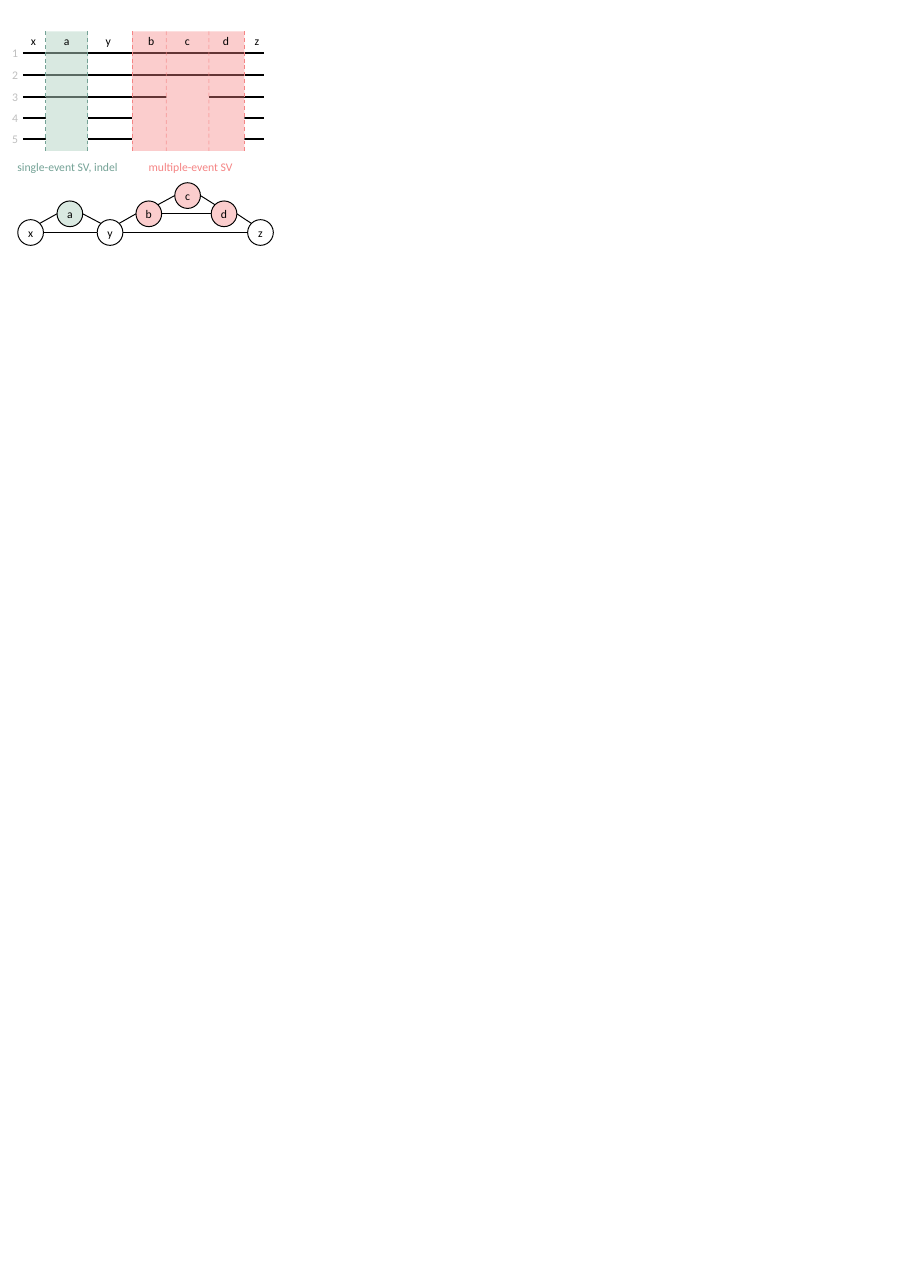
"""Draw sequence alignments with structural variants and their variation graph."""
from dataclasses import dataclass
from math import sqrt

from lxml import etree
from pptx import Presentation
from pptx import util as u
from pptx.dml.color import RGBColor
from pptx.enum import dml, shapes, text
from pptx.oxml.ns import qn


@dataclass(frozen=True)
class Theme:
    font: str = "Calibri"
    size: float = 18
    black: str = "000000"
    white: str = "FFFFFF"
    grey: str = "BFBFBF"
    green: str = "74A296"
    light_green: str = "B5D5C5"
    red: str = "F58484"
    thin: float = 1.5
    thick: float = 3


@dataclass(frozen=True)
class Area:
    left: float
    top: float
    right: float
    bottom: float
    fill: str
    opacity: int = 100


@dataclass(frozen=True)
class Label:
    words: str
    left: float
    top: float
    width: float
    color: str
    centred: bool = True


@dataclass(frozen=True)
class Border:
    x: float
    color: str
    opacity: int = 100


@dataclass(frozen=True)
class Node:
    name: str
    left: float
    top: float
    fill: str = ""
    opacity: int = 100


@dataclass(frozen=True)
class Edge:
    start: str
    start_side: str
    end: str
    end_side: str


THEME = Theme()
TRACK_LEFT, TRACK_RIGHT = 0.49, 5.66
BAND_TOP, BAND_BOTTOM = 0.67, 3.23
MASK_BOTTOM = 3.19
INDEL_LEFT, INDEL_RIGHT = 0.98, 1.88
MULTI_LEFT, C_LEFT, C_RIGHT, MULTI_RIGHT = 2.83, 3.56, 4.47, 5.23
LABEL_HEIGHT = 0.4
DIAMETER = 0.55
LOW, MIDDLE, HIGH = 4.7, 4.3, 3.91

TRACKS = [1.14, 1.6, 2.08, 2.53, 2.98]
COLUMNS = {"x": 0.56, "a": 1.27, "y": 2.16, "b": 3.07, "c": 3.86, "d": 4.67, "z": 5.35}
AREAS = [
    Area(C_LEFT, 1.88, C_RIGHT, MASK_BOTTOM, THEME.white),
    Area(MULTI_LEFT, 2.34, MULTI_RIGHT, MASK_BOTTOM, THEME.white),
    Area(INDEL_LEFT, 2.34, INDEL_RIGHT, MASK_BOTTOM, THEME.white),
    Area(MULTI_LEFT, BAND_TOP, MULTI_RIGHT, BAND_BOTTOM, THEME.red, 40),
    Area(INDEL_LEFT, BAND_TOP, INDEL_RIGHT, BAND_BOTTOM, THEME.light_green, 50),
]
BORDERS = [
    Border(MULTI_LEFT, THEME.red),
    Border(C_LEFT, THEME.red, 50),
    Border(C_RIGHT, THEME.red, 50),
    Border(MULTI_RIGHT, THEME.red),
    Border(INDEL_LEFT, THEME.green),
    Border(INDEL_RIGHT, THEME.green),
]
LABELS = [
    Label("single-event SV, indel", 0.26, 3.37, 2.37, THEME.green),
    Label("multiple-event SV", 3.07, 3.37, 2.02, THEME.red),
    *(Label(str(row), 0.16, y - LABEL_HEIGHT / 2, 0.33, THEME.grey)
      for row, y in enumerate(TRACKS, 1)),
    *(Label(name, left, 0.68, 0.31, THEME.black, False) for name, left in COLUMNS.items()),
]
NODES = [
    Node("x", 0.38, LOW),
    Node("a", 1.22, MIDDLE, THEME.light_green, 50),
    Node("y", 2.08, LOW),
    Node("b", 2.91, MIDDLE, THEME.red, 40),
    Node("c", 3.74, HIGH, THEME.red, 40),
    Node("d", 4.52, MIDDLE, THEME.red, 40),
    Node("z", 5.3, LOW),
]
EDGES = [
    Edge("x", "upper right", "a", "left"),
    Edge("a", "right", "y", "upper left"),
    Edge("x", "right", "y", "left"),
    Edge("y", "right", "z", "left"),
    Edge("y", "upper right", "b", "left"),
    Edge("b", "upper right", "c", "left"),
    Edge("c", "right", "d", "upper left"),
    Edge("b", "right", "d", "left"),
    Edge("d", "right", "z", "upper left"),
]
DIAGONAL = 1 / sqrt(2)
SIDES = {
    "left": (-1, 0),
    "right": (1, 0),
    "upper left": (-DIAGONAL, -DIAGONAL),
    "upper right": (DIAGONAL, -DIAGONAL),
}


def set_opacity(shape, percent: int) -> None:
    """Make the first solid colour of a shape partly transparent."""
    if percent < 100:
        color = next(shape.element.iter(qn("a:srgbClr")))
        etree.SubElement(color, qn("a:alpha")).set("val", str(percent * 1000))


def write(frame, words: str, color: str, centred: bool = True) -> None:
    """Put one styled paragraph into a text frame."""
    frame.text = words
    para = frame.paragraphs[0]
    para.alignment = text.PP_ALIGN.CENTER if centred else text.PP_ALIGN.LEFT
    for span in para.runs:
        span.font.name = THEME.font
        span.font.size = u.Pt(THEME.size)
        span.font.color.rgb = RGBColor.from_string(color)


def draw_line(page, start: tuple[float, float], end: tuple[float, float],
              color: str, width: float):
    """Draw a straight line without a shadow."""
    line = page.shapes.add_connector(
        shapes.MSO_CONNECTOR.STRAIGHT, *(u.Inches(value) for value in (*start, *end)))
    line.line.color.rgb = RGBColor.from_string(color)
    line.line.width = u.Pt(width)
    etree.SubElement(line.element.spPr, qn("a:effectLst"))
    return line


def draw_label(page, label: Label) -> None:
    """Draw a text box, wrapped only when left-aligned."""
    box = page.shapes.add_textbox(*(u.Inches(value) for value in (
        label.left, label.top, label.width, LABEL_HEIGHT)))
    frame = box.text_frame
    write(frame, label.words, label.color, label.centred)
    frame.word_wrap = not label.centred
    frame.auto_size = text.MSO_AUTO_SIZE.SHAPE_TO_FIT_TEXT


def draw_area(page, area: Area) -> None:
    """Draw a borderless rectangle."""
    box = page.shapes.add_shape(shapes.MSO_SHAPE.RECTANGLE, *(u.Inches(value) for value in (
        area.left, area.top, area.right - area.left, area.bottom - area.top)))
    box.shadow.inherit = False
    box.fill.solid()
    box.fill.fore_color.rgb = RGBColor.from_string(area.fill)
    box.line.fill.background()
    set_opacity(box, area.opacity)


def draw_border(page, border: Border) -> None:
    """Draw the dashed edge of a segment."""
    line = draw_line(page, (border.x, BAND_TOP), (border.x, BAND_BOTTOM),
                     border.color, THEME.thin)
    line.line.dash_style = dml.MSO_LINE.DASH
    set_opacity(line, border.opacity)


def draw_node(page, node: Node) -> None:
    """Draw a named circle of the graph."""
    circle = page.shapes.add_shape(shapes.MSO_SHAPE.OVAL, *(u.Inches(value) for value in (
        node.left, node.top, DIAMETER, DIAMETER)))
    circle.shadow.inherit = False
    if node.fill:
        circle.fill.solid()
        circle.fill.fore_color.rgb = RGBColor.from_string(node.fill)
        set_opacity(circle, node.opacity)
    else:
        circle.fill.background()
    circle.line.color.rgb = RGBColor.from_string(THEME.black)
    circle.line.width = u.Pt(THEME.thin)
    circle.text_frame.vertical_anchor = text.MSO_ANCHOR.MIDDLE
    write(circle.text_frame, node.name, THEME.black)


def rim_point(node: Node, side: str) -> tuple[float, float]:
    """Return the point on a node's rim at the given side."""
    radius = DIAMETER / 2
    across, down = SIDES[side]
    return node.left + radius * (1 + across), node.top + radius * (1 + down)


def main() -> None:
    """Build and save the deck."""
    deck = Presentation()
    deck.slide_width, deck.slide_height = u.Inches(19.69), u.Inches(27.56)
    page = deck.slides.add_slide(deck.slide_layouts[6])
    for y in TRACKS:
        draw_line(page, (TRACK_LEFT, y), (TRACK_RIGHT, y), THEME.black, THEME.thick)
    for area in AREAS:
        draw_area(page, area)
    for border in BORDERS:
        draw_border(page, border)
    for label in LABELS:
        draw_label(page, label)
    for node in NODES:
        draw_node(page, node)
    nodes = {node.name: node for node in NODES}
    for edge in EDGES:
        draw_line(page, rim_point(nodes[edge.start], edge.start_side),
                  rim_point(nodes[edge.end], edge.end_side), THEME.black, THEME.thin)
    deck.save("out.pptx")


if __name__ == "__main__":
    main()
